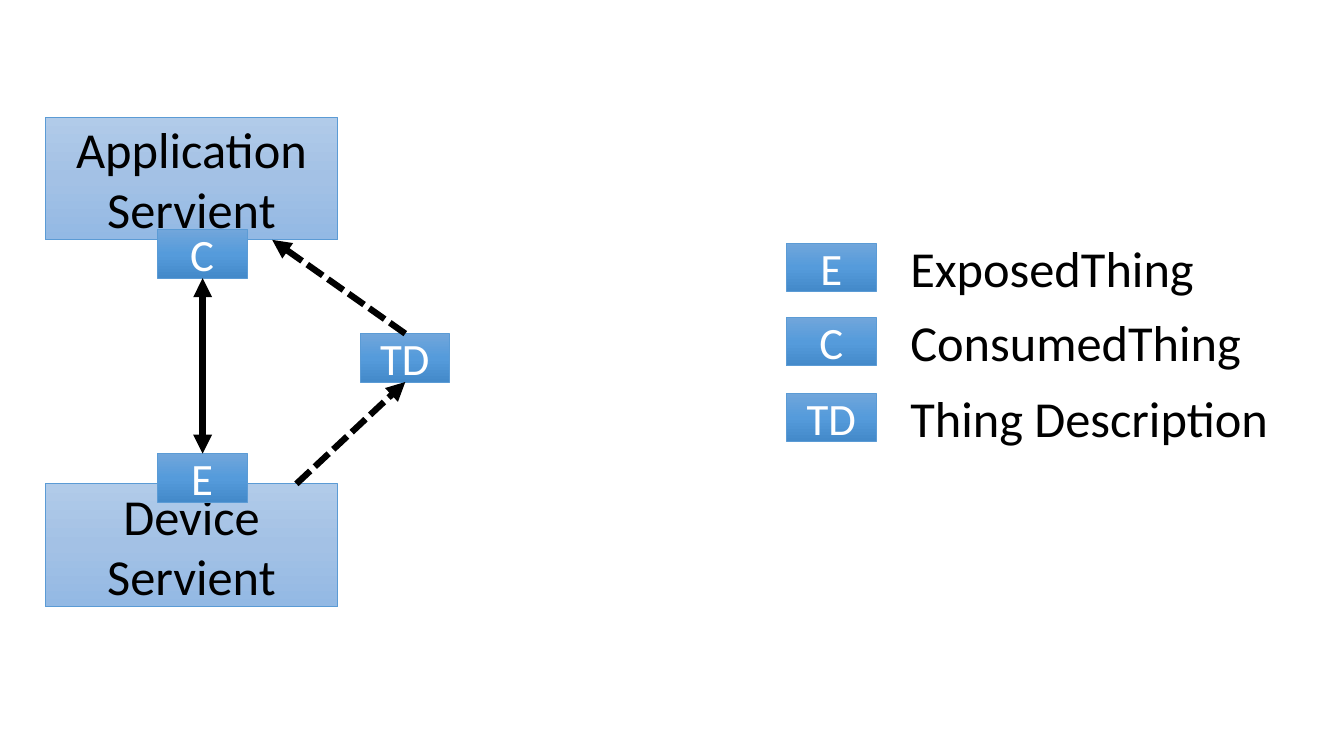
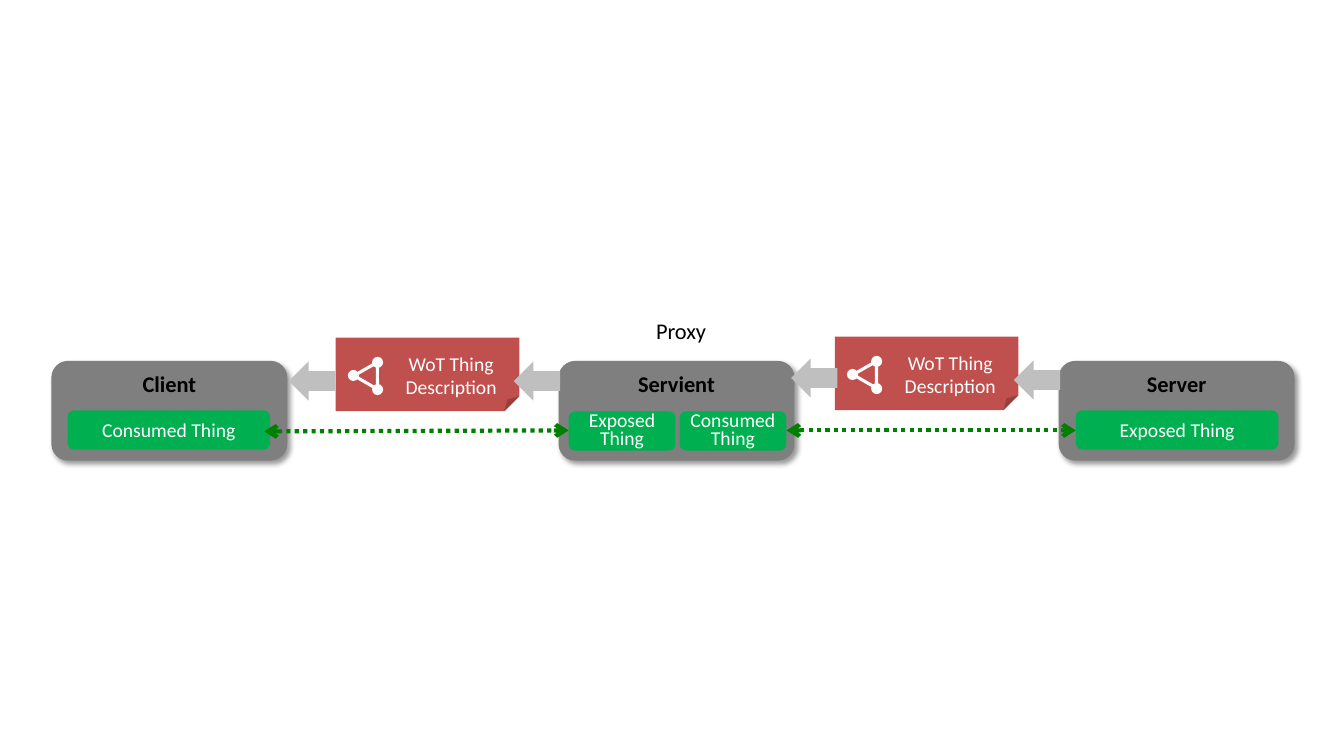
"""Build two slides on how Things are exposed, consumed and described."""
from copy import deepcopy

from lxml import etree
from pptx import Presentation
from pptx.dml.color import RGBColor
from pptx.enum import dml, shapes, text
from pptx.oxml import ns
from pptx.util import Inches, Pt

FONT = "Calibri"
BLACK, WHITE = RGBColor(0, 0, 0), RGBColor(255, 255, 255)
EDGE_BLUE = RGBColor(0x5B, 0x9B, 0xD5)
PALE_BLUES = [RGBColor.from_string(code) for code in ("B1CBE9", "A3C1E5", "93B9E4")]
BRIGHT_BLUES = [RGBColor.from_string(code) for code in ("71A6DB", "559BDB", "448ACA")]
GREY, SILVER = RGBColor(0x7F, 0x7F, 0x7F), RGBColor(0xBF, 0xBF, 0xBF)
GREEN, DARK_GREEN = RGBColor(0, 0xB0, 0x50), RGBColor(0, 0x80, 0)
RED = RGBColor(0xC0, 0x50, 0x4D)
KIND, DASH = shapes.MSO_SHAPE, dml.MSO_LINE
MIDDLE, TOP = text.MSO_ANCHOR.MIDDLE, text.MSO_ANCHOR.TOP
CENTER = text.PP_ALIGN.CENTER

SERVIENTS = [(["Application", "Servient"], 1.16), (["Device", "Servient"], 4.8)]
TAGS = [("TD", 3.57, 3.31), ("C", 1.56, 2.28), ("E", 1.56, 4.5)]
LEGEND = [("E", "ExposedThing", 2.41, 3.04), ("C", "ConsumedThing", 3.15, 3.51),
          ("TD", "Thing Description", 3.9, 3.79)]
DASHED_ARROWS = [((2.94, 4.8), (4.02, 3.79)), ((4.02, 3.31), (2.7, 2.38))]

NODES = [("Client", 0.51), ("Servient", 5.54), ("Server", 10.5)]
THINGS = [(["Consumed Thing"], 0.67, 4.07, 2.01), (["Exposed", "Thing"], 5.64, 4.08, 1.06),
          (["Consumed", "Thing"], 6.74, 4.08, 1.06), (["Exposed Thing"], 10.67, 4.07, 2.01)]
LINKS = [((2.62, 4.28), (5.64, 4.27)), ((7.8, 4.27), (10.67, 4.27))]
DESCRIPTIONS = [(3.33, 3.35), (8.28, 3.34)]
BLOCK_ARROWS = [(2.9, 3.55), (5.13, 3.55), (7.88, 3.52), (10.09, 3.54)]
ICON_DOTS = [(0.36, 0.19, 330), (0.12, 0.32, 330), (0.36, 0.46, 30)]


def write(shape, lines, size, color, bold=False, align=CENTER, anchor=MIDDLE,
          wrap=True, spacing=None, insets=None):
    """Put lines into a shape, one paragraph each; a newline becomes a line break."""
    frame = shape.text_frame
    frame.word_wrap, frame.vertical_anchor = wrap, anchor
    if insets:
        (frame.margin_left, frame.margin_top,
         frame.margin_right, frame.margin_bottom) = map(Inches, insets)
    for index, line in enumerate(lines):
        para = frame.add_paragraph() if index else frame.paragraphs[0]
        para.alignment = align
        if spacing:
            para.line_spacing = spacing
        for part_index, part in enumerate(line.split("\n")):
            if part_index:
                para.add_line_break()
            span = para.add_run()
            span.text = part
            span.font.name, span.font.size, span.font.bold = FONT, Pt(size), bold
            span.font.color.rgb = color


def add_box(page, kind, place, fill=None, line=None, width=0, rotation=0):
    """Add a shape with no shadow and an optional fill and outline."""
    box = page.shapes.add_shape(kind, *map(Inches, place))
    box.shadow.inherit = False
    box.rotation = rotation
    if isinstance(fill, list):
        paint_gradient(box, fill)
    elif fill is not None:
        box.fill.solid()
        box.fill.fore_color.rgb = fill
    else:
        box.fill.background()
    if line is not None:
        box.line.color.rgb, box.line.width = line, Pt(width)
    else:
        box.line.fill.background()
    return box


def paint_gradient(box, colors):
    """Fill a shape from top to bottom with evenly spaced colours."""
    box.fill.gradient()
    box.fill.gradient_angle = 270
    stops = box._element.spPr.find(".//" + ns.qn("a:gsLst"))
    for _ in range(len(colors) - len(stops)):
        stops.append(deepcopy(stops[0]))
    for index, (stop, color) in enumerate(zip(box.fill.gradient_stops, colors)):
        stop.position = index / (len(colors) - 1)
        stop.color.rgb = color


def add_shadow(box):
    """Cast a soft shadow to the lower right."""
    effects = box._element.spPr.find(ns.qn("a:effectLst"))
    shadow = etree.SubElement(effects, ns.qn("a:outerShdw"), blurRad=str(Pt(4)),
                              dist=str(Pt(3)), dir=str(45 * 60000), algn="tl", rotWithShape="0")
    color = etree.SubElement(shadow, ns.qn("a:srgbClr"), val=str(BLACK))
    etree.SubElement(color, ns.qn("a:alpha"), val="40000")


def add_arrow(page, start, end, color, width, tip, both=False, dash=None):
    """Draw a straight line with an arrowhead at its end, or at both ends."""
    line = page.shapes.add_connector(shapes.MSO_CONNECTOR.STRAIGHT, *map(Inches, start + end))
    line.line.color.rgb, line.line.width = color, Pt(width)
    if dash:
        line.line.dash_style = dash
    outline = line._element.spPr.find(ns.qn("a:ln"))
    for name in ("a:headEnd", "a:tailEnd") if both else ("a:tailEnd",):
        etree.SubElement(outline, ns.qn(name), type=tip)
    etree.SubElement(line._element.spPr, ns.qn("a:effectLst"))


def add_label(page, place, words, size, align):
    """Add a one-line text box that fits its text."""
    label = page.shapes.add_textbox(*map(Inches, place))
    write(label, [words], size, BLACK, align=align, anchor=TOP, wrap=False)
    label.text_frame.auto_size = text.MSO_AUTO_SIZE.SHAPE_TO_FIT_TEXT


def add_tag(page, words, left, top):
    """Add a small bright blue tag."""
    tag = add_box(page, KIND.RECTANGLE, (left, top, 0.89, 0.48), BRIGHT_BLUES, EDGE_BLUE, 0.5)
    write(tag, [words], 32, WHITE)


def add_description(page, left, top):
    """Add a folded note with a share symbol."""
    note = add_box(page, KIND.FOLDED_CORNER, (left, top, 1.82, 0.73), RED)
    guides = note._element.spPr.find(".//" + ns.qn("a:avLst"))
    etree.SubElement(guides, ns.qn("a:gd"), name="adj", fmla="val 20200")
    write(note, ["WoT Thing\nDescription"], 14, WHITE, wrap=False, insets=(0.47, 0.16, 0, 0))
    add_box(page, KIND.ISOSCELES_TRIANGLE, (left + 0.22, top + 0.23, 0.27, 0.23),
            line=WHITE, width=2.25, rotation=30)
    for across, down, rotation in ICON_DOTS:
        add_box(page, KIND.OVAL, (left + across, top + down, 0.11, 0.11), WHITE,
                rotation=rotation)


def build_servients(page):
    """Show two servients, the description between them and a legend."""
    for lines, top in SERVIENTS:
        servient = add_box(page, KIND.RECTANGLE, (0.45, top, 2.9, 1.22),
                           PALE_BLUES, EDGE_BLUE, 0.5)
        write(servient, lines, 36, BLACK)
    for tag in TAGS:
        add_tag(page, *tag)
    add_arrow(page, (2.01, 2.76), (2.01, 4.5), BLACK, 4.5, "triangle", both=True)
    for words, meaning, top, width in LEGEND:
        add_tag(page, words, 7.8, top)
        add_label(page, (8.93, top - 0.11, width, 0.71), meaning, 36, text.PP_ALIGN.LEFT)
    for start, end in DASHED_ARROWS:
        add_arrow(page, start, end, BLACK, 4.5, "triangle", dash=DASH.SQUARE_DOT)


def build_proxy(page):
    """Show a client and a server joined by a proxy servient."""
    for name, left in NODES:
        node = add_box(page, KIND.ROUNDED_RECTANGLE, (left, 3.58, 2.34, 0.99), GREY)
        add_shadow(node)
        write(node, [name], 16, BLACK, bold=True, anchor=TOP, insets=(0.08, 0.04, 0.08, 0.04))
    for lines, left, top, width in THINGS:
        thing = add_box(page, KIND.ROUNDED_RECTANGLE, (left, top, width, 0.39), GREEN)
        write(thing, lines, 14, WHITE, wrap=False, spacing=0.8 if len(lines) > 1 else None)
    for left, top in DESCRIPTIONS:
        add_description(page, left, top)
    for left, top in BLOCK_ARROWS:
        add_box(page, KIND.DOWN_ARROW, (left, top, 0.39, 0.46), SILVER, rotation=90)
    for start, end in LINKS:
        add_arrow(page, start, end, DARK_GREEN, 3, "arrow", both=True, dash=DASH.ROUND_DOT)
    add_label(page, (6.4, 3.1, 0.71, 0.37), "Proxy", 16, CENTER)


deck = Presentation()
deck.slide_width, deck.slide_height = Inches(13.33), Inches(7.5)
for build in (build_servients, build_proxy):
    build(deck.slides.add_slide(deck.slide_layouts[6]))
deck.save("out.pptx")
